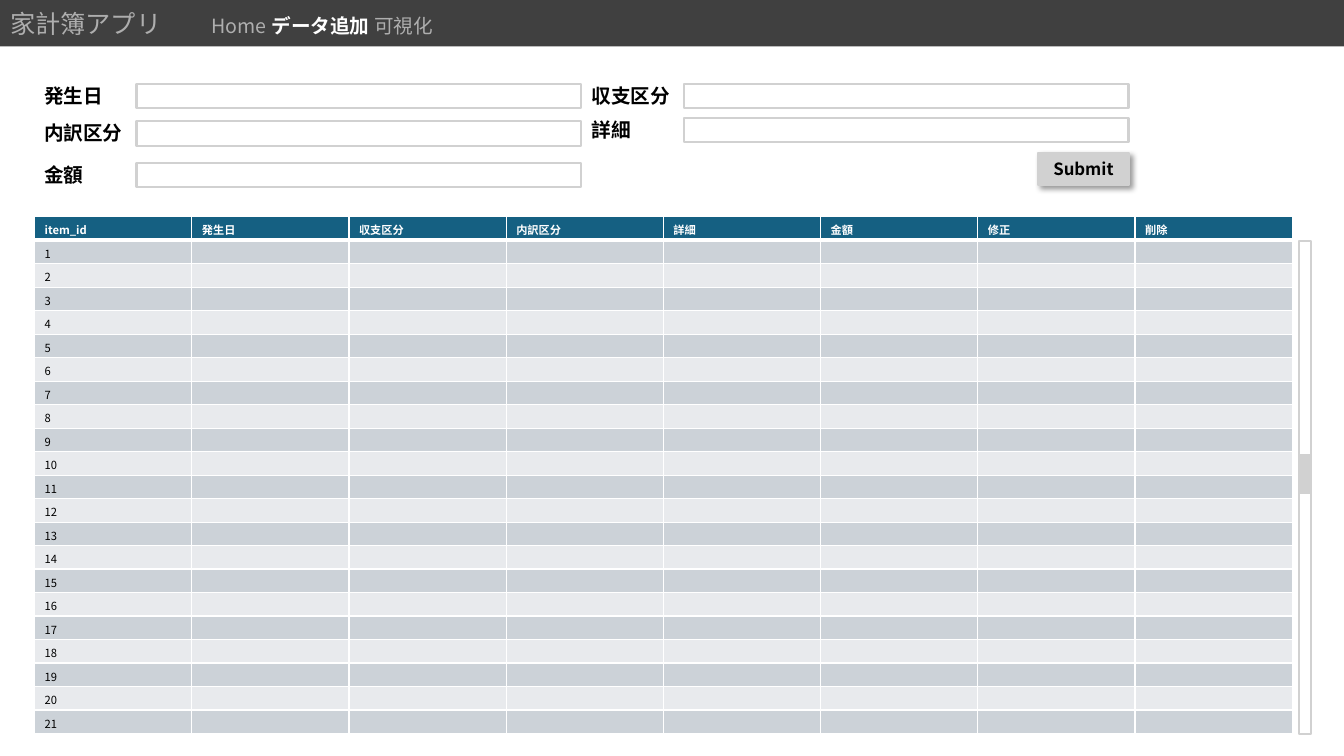
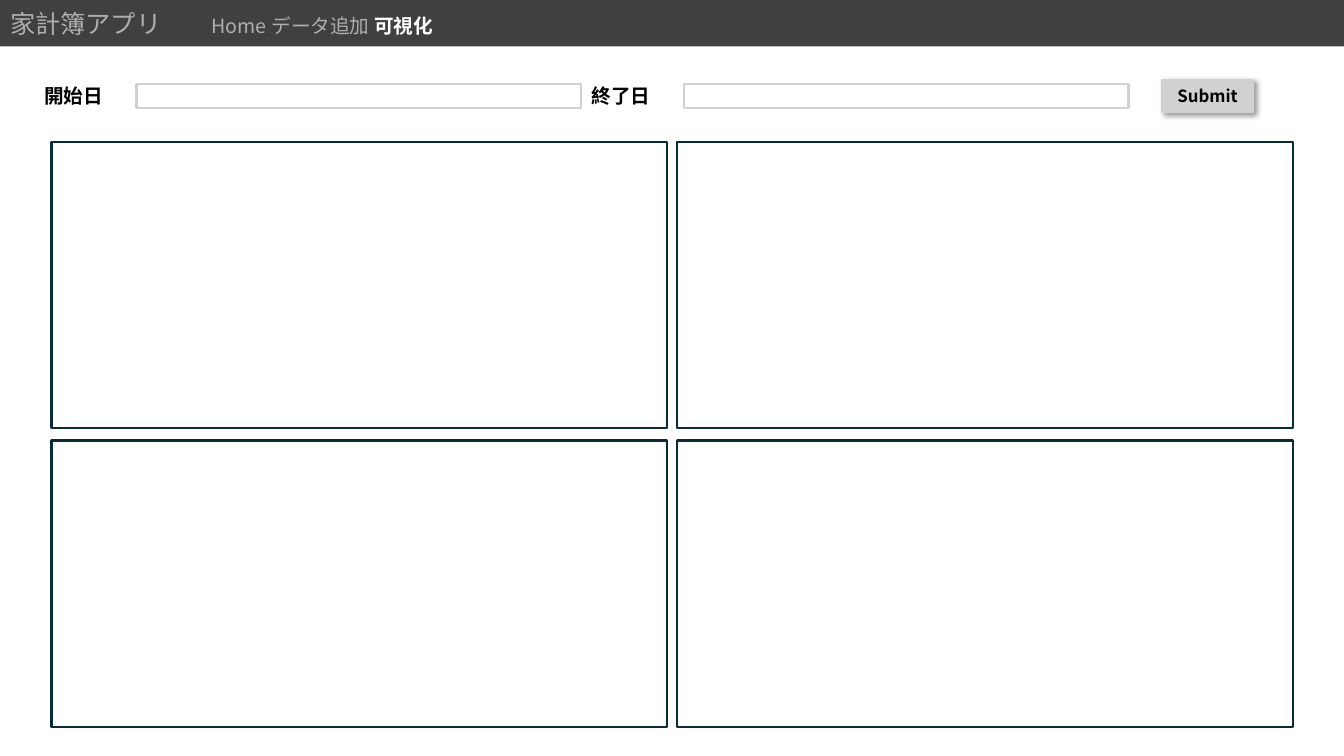
import pptx
import pptx.util
import pptx.dml.color
import pptx.enum.shapes
import pptx.enum.text
import pptx.oxml.ns
from lxml import etree

Cm = pptx.util.Cm
Pt = pptx.util.Pt
RGBColor = pptx.dml.color.RGBColor
qn = pptx.oxml.ns.qn
PP_ALIGN = pptx.enum.text.PP_ALIGN
MSO_ANCHOR = pptx.enum.text.MSO_ANCHOR
RECTANGLE = pptx.enum.shapes.MSO_SHAPE.RECTANGLE

# Shared look
FONT = "Noto Sans CJK JP"
BLACK = RGBColor(0x00, 0x00, 0x00)
WHITE = RGBColor(0xFF, 0xFF, 0xFF)
BAR_GRAY = RGBColor(0x40, 0x40, 0x40)
MUTED = RGBColor(0xAE, 0xAE, 0xAE)
CONTROL_GRAY = RGBColor(0xD1, 0xD1, 0xD1)
PANEL_NAVY = RGBColor(0x09, 0x2A, 0x39)
HEADER_BLUE = RGBColor(0x15, 0x60, 0x82)
BANDS = (RGBColor(0xCC, 0xD2, 0xD8), RGBColor(0xE8, 0xEA, 0xED))

SLIDE_WIDTH, SLIDE_HEIGHT = 33.87, 19.05
BAR_HEIGHT = 1.17
LEFT_LABEL, RIGHT_LABEL = 0.86, 14.66
FIRST_ROW = 1.98

APP_NAME = "家計簿アプリ"
PAGES = ("Home ", "データ追加 ", "可視化")
COLUMNS = ("item_id", "発生日", "収支区分", "内訳区分", "詳細", "金額", "修正", "削除")
ITEM_COUNT = 21


def add_run(paragraph, text, size, color, bold=False):
    run = paragraph.add_run()
    run.text = text
    run.font.size = Pt(size)
    run.font.bold = bold
    run.font.color.rgb = color
    run.font.name = FONT
    # Japanese glyphs take the East Asian typeface
    etree.SubElement(run._r.get_or_add_rPr(), qn("a:ea"), typeface=FONT)


def add_box(slide, left, top, width, height, fill, line):
    box = slide.shapes.add_shape(RECTANGLE, Cm(left), Cm(top), Cm(width), Cm(height))
    box.shadow.inherit = False
    box.fill.solid()
    box.fill.fore_color.rgb = fill
    box.line.color.rgb = line
    box.line.width = Pt(1.5)
    return box


def add_app_bar(slide, current_page):
    """The title holds the app name and the navigation."""
    bar = slide.shapes.title
    bar.left, bar.top = Cm(0), Cm(0)
    bar.width, bar.height = Cm(SLIDE_WIDTH), Cm(BAR_HEIGHT)
    bar.fill.solid()
    bar.fill.fore_color.rgb = BAR_GRAY
    frame = bar.text_frame
    frame.auto_size = pptx.enum.text.MSO_AUTO_SIZE.NONE
    frame.vertical_anchor = MSO_ANCHOR.MIDDLE
    paragraph = frame.paragraphs[0]
    paragraph.alignment = PP_ALIGN.LEFT
    # Tab stop where the navigation starts
    stops = etree.SubElement(paragraph._p.get_or_add_pPr(), qn("a:tabLst"))
    etree.SubElement(stops, qn("a:tab"), pos=str(Cm(5.08)), algn="l")
    add_run(paragraph, APP_NAME + "\t", 18, MUTED)
    for page in PAGES:
        current = page == current_page
        add_run(paragraph, page, 14, WHITE if current else MUTED, current)


def add_field(slide, label, left, top):
    caption = slide.shapes.add_textbox(Cm(left), Cm(top), Cm(2.59), Cm(0.86))
    caption.text_frame.word_wrap = True
    add_run(caption.text_frame.paragraphs[0], label, 14, BLACK, True)
    add_box(slide, left + 2.58, top + 0.13, 11.2, 0.61, WHITE, CONTROL_GRAY)


def add_submit(slide, left, top):
    button = add_box(slide, left, top, 2.29, 0.81, CONTROL_GRAY, CONTROL_GRAY)
    effects = button._element.spPr.find(qn("a:effectLst"))
    shadow = etree.SubElement(effects, qn("a:outerShdw"), blurRad=str(Pt(4)),
                              dist=str(Pt(3)), dir="2700000", algn="tl", rotWithShape="0")
    tint = etree.SubElement(shadow, qn("a:srgbClr"), val=str(BLACK))
    etree.SubElement(tint, qn("a:alpha"), val="40000")
    button.text_frame.vertical_anchor = MSO_ANCHOR.MIDDLE
    paragraph = button.text_frame.paragraphs[0]
    paragraph.alignment = PP_ALIGN.CENTER
    add_run(paragraph, "Submit", 12, BLACK, True)


def format_cell(cell, text, fill, color, bold, bottom_width):
    properties = cell._tc.get_or_add_tcPr()
    for side, width in (("lnL", 1), ("lnR", 1), ("lnT", 1), ("lnB", bottom_width)):
        border = etree.SubElement(properties, qn("a:" + side), w=str(Pt(width)))
        paint = etree.SubElement(border, qn("a:solidFill"))
        etree.SubElement(paint, qn("a:srgbClr"), val=str(WHITE))
    cell.fill.solid()
    cell.fill.fore_color.rgb = fill
    cell.margin_top, cell.margin_bottom = Cm(0.13), Cm(0)
    paragraph = cell.text_frame.paragraphs[0]
    if text:
        add_run(paragraph, text, 8, color, bold)
    else:
        # Keeps empty cells as low as the filled ones
        etree.SubElement(paragraph._p, qn("a:endParaRPr"), sz="800")


def add_item_table(slide):
    width, height = 31.7, 13.03
    row_count = ITEM_COUNT + 1
    table = slide.shapes.add_table(row_count, len(COLUMNS), Cm(0.87), Cm(5.46),
                                   Cm(width), Cm(height)).table
    for column in table.columns:
        column.width = Cm(width / len(COLUMNS))
    for row in table.rows:
        row.height = Cm(height / row_count)
    for index, heading in enumerate(COLUMNS):
        format_cell(table.cell(0, index), heading, HEADER_BLUE, WHITE, True, 3)
        for item in range(1, row_count):
            item_id = str(item) if index == 0 else ""
            format_cell(table.cell(item, index), item_id, BANDS[(item - 1) % 2],
                        BLACK, False, 1)


def add_scrollbar(slide):
    add_box(slide, 32.74, 6.07, 0.3, 12.42, WHITE, CONTROL_GRAY)
    add_box(slide, 32.74, 11.46, 0.3, 0.97, CONTROL_GRAY, CONTROL_GRAY)


def add_chart_panels(slide):
    width, height = 15.52, 7.21
    for row in range(2):
        for column in range(2):
            add_box(slide, 1.3 + column * (width + 0.25), 3.58 + row * (height + 0.31),
                    width, height, WHITE, PANEL_NAVY)


def add_page(deck, current_page):
    slide = deck.slides.add_slide(deck.slide_layouts[5])
    add_app_bar(slide, current_page)
    return slide


def main():
    deck = pptx.Presentation()
    deck.slide_width, deck.slide_height = Cm(SLIDE_WIDTH), Cm(SLIDE_HEIGHT)

    # Data entry page
    entry = add_page(deck, PAGES[1])
    for label, left, top in (("発生日", LEFT_LABEL, FIRST_ROW),
                             ("収支区分", RIGHT_LABEL, FIRST_ROW),
                             ("内訳区分", LEFT_LABEL, 2.93),
                             ("詳細", RIGHT_LABEL, 2.85),
                             ("金額", LEFT_LABEL, 3.98)):
        add_field(entry, label, left, top)
    add_submit(entry, 26.16, 3.86)
    add_item_table(entry)
    add_scrollbar(entry)

    # Visualisation page
    charts = add_page(deck, PAGES[2])
    add_field(charts, "開始日", LEFT_LABEL, FIRST_ROW)
    add_field(charts, "終了日", RIGHT_LABEL, FIRST_ROW)
    add_submit(charts, 29.29, 2.01)
    add_chart_panels(charts)

    deck.save("out.pptx")


if __name__ == "__main__":
    main()
